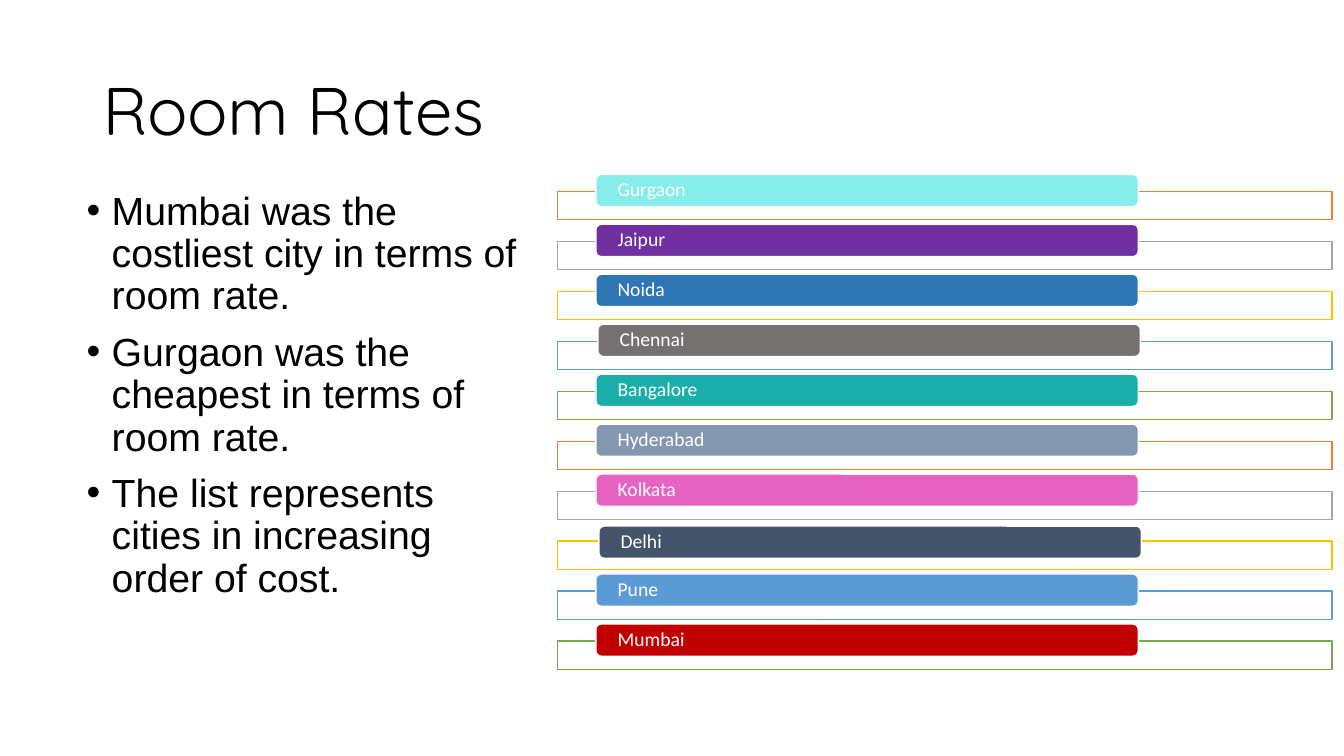
"""Build the Room Rates slide: three findings beside cities listed by rising cost."""
from lxml import etree
from pptx import Presentation
from pptx.dml.color import RGBColor
from pptx.enum.shapes import MSO_SHAPE
from pptx.enum.text import MSO_ANCHOR, PP_ALIGN
from pptx.oxml.ns import qn
from pptx.util import Inches, Pt

RECTANGLE, ROUNDED = MSO_SHAPE.RECTANGLE, MSO_SHAPE.ROUNDED_RECTANGLE
TOP, MIDDLE = MSO_ANCHOR.TOP, MSO_ANCHOR.MIDDLE
LEFT = PP_ALIGN.LEFT

BLACK = RGBColor(0x00, 0x00, 0x00)
WHITE = RGBColor(0xFF, 0xFF, 0xFF)
ORANGE = RGBColor(0xED, 0x7D, 0x31)
GREY = RGBColor(0xA5, 0xA5, 0xA5)
GOLD = RGBColor(0xFF, 0xC0, 0x00)
BLUE = RGBColor(0x5B, 0x9B, 0xD5)
GREEN = RGBColor(0x70, 0xAD, 0x47)
AQUA = RGBColor(0x87, 0xED, 0xEB)
PURPLE = RGBColor(0x70, 0x30, 0xA0)
DEEP_BLUE = RGBColor(0x2E, 0x75, 0xB6)
STONE = RGBColor(0x76, 0x71, 0x71)
TEAL = RGBColor(0x1A, 0xAE, 0xAA)
STEEL = RGBColor(0x84, 0x97, 0xB0)
PINK = RGBColor(0xE7, 0x63, 0xC1)
SLATE = RGBColor(0x44, 0x54, 0x6A)
RED = RGBColor(0xC0, 0x00, 0x00)

TITLE = "Room Rates"
FINDINGS = [
    "Mumbai was the costliest city in terms of room rate.",
    "Gurgaon was the cheapest in terms of room rate.",
    "The list represents cities in increasing order of cost.",
]
CITIES = [
    ("Gurgaon", AQUA),
    ("Jaipur", PURPLE),
    ("Noida", DEEP_BLUE),
    ("Chennai", STONE),
    ("Bangalore", TEAL),
    ("Hyderabad", STEEL),
    ("Kolkata", PINK),
    ("Delhi", SLATE),
    ("Pune", BLUE),
    ("Mumbai", RED),
]
FRAME_COLORS = [ORANGE, GREY, GOLD, BLUE, GREEN]
NUDGES = {"Chennai": (0.02, 0), "Delhi": (0.03, 0.02)}

FRAME_LEFT, FRAME_TOP, FRAME_WIDTH, FRAME_HEIGHT = 5.53, 1.9, 7.68, 0.28
LABEL_LEFT, LABEL_TOP, LABEL_WIDTH, LABEL_HEIGHT = 5.91, 1.73, 5.38, 0.32
LAST_FRAME_TOP = 6.36
PITCH = (LAST_FRAME_TOP - FRAME_TOP) / (len(CITIES) - 1)


def write(box, lines, *, font, size, color, anchor=TOP, before=0, bullet=None, insets=None):
    """Fill a box with one formatted paragraph per line."""
    frame = box.text_frame
    frame.word_wrap = True
    frame.vertical_anchor = anchor
    if insets:
        frame.margin_left, frame.margin_top, frame.margin_right, frame.margin_bottom = map(Inches, insets)
    for index, line in enumerate(lines):
        para = frame.add_paragraph() if index else frame.paragraphs[0]
        para.alignment = LEFT
        para.line_spacing = 0.9
        para.space_before = Pt(before)
        if bullet:
            properties = para._p.get_or_add_pPr()
            properties.set("marL", str(Inches(0.25)))
            properties.set("indent", str(Inches(-0.25)))
            etree.SubElement(properties, qn("a:buFont"), typeface="Arial")
            etree.SubElement(properties, qn("a:buChar"), char=bullet)
        span = para.add_run()
        span.text = line
        span.font.name = font
        span.font.size = Pt(size)
        span.font.color.rgb = color


def add_panel(page, kind, place, fill, line):
    """Add a filled and outlined shape without a shadow."""
    panel = page.shapes.add_shape(kind, *map(Inches, place))
    panel.shadow.inherit = False
    panel.fill.solid()
    panel.fill.fore_color.rgb = fill
    panel.line.color.rgb = line
    panel.line.width = Pt(1)
    return panel


def add_city(page, index, city, color):
    """Add one city's outlined frame and the label lying over it."""
    shift = index * PITCH
    frame_place = (FRAME_LEFT, FRAME_TOP + shift, FRAME_WIDTH, FRAME_HEIGHT)
    frame = add_panel(page, RECTANGLE, frame_place, WHITE, FRAME_COLORS[index % len(FRAME_COLORS)])
    fill_color = frame._element.spPr.find(qn("a:solidFill")).find(qn("a:srgbClr"))
    etree.SubElement(fill_color, qn("a:alpha"), val="90000")

    across, down = NUDGES.get(city, (0, 0))
    label_place = (LABEL_LEFT + across, LABEL_TOP + shift + down, LABEL_WIDTH, LABEL_HEIGHT)
    label = add_panel(page, ROUNDED, label_place, color, WHITE)
    write(label, [city], font="Calibri", size=14, color=WHITE, anchor=MIDDLE, insets=(0.2, 0, 0.2, 0))


def main():
    """Assemble and save the slide."""
    deck = Presentation()
    deck.slide_width, deck.slide_height = Inches(13.33), Inches(7.5)
    page = deck.slides.add_slide(deck.slide_layouts[6])

    title = page.shapes.add_textbox(*map(Inches, (0.92, 0.4, 11.5, 1.45)))
    write(title, [TITLE], font="Quicksand", size=48, color=BLACK, anchor=MIDDLE)
    findings = page.shapes.add_textbox(*map(Inches, (0.76, 1.85, 4.61, 4.76)))
    write(findings, FINDINGS, font="Arial", size=28, color=BLACK, before=10, bullet="•")

    for index, (city, color) in enumerate(CITIES):
        add_city(page, index, city, color)
    deck.save("out.pptx")


if __name__ == "__main__":
    main()
